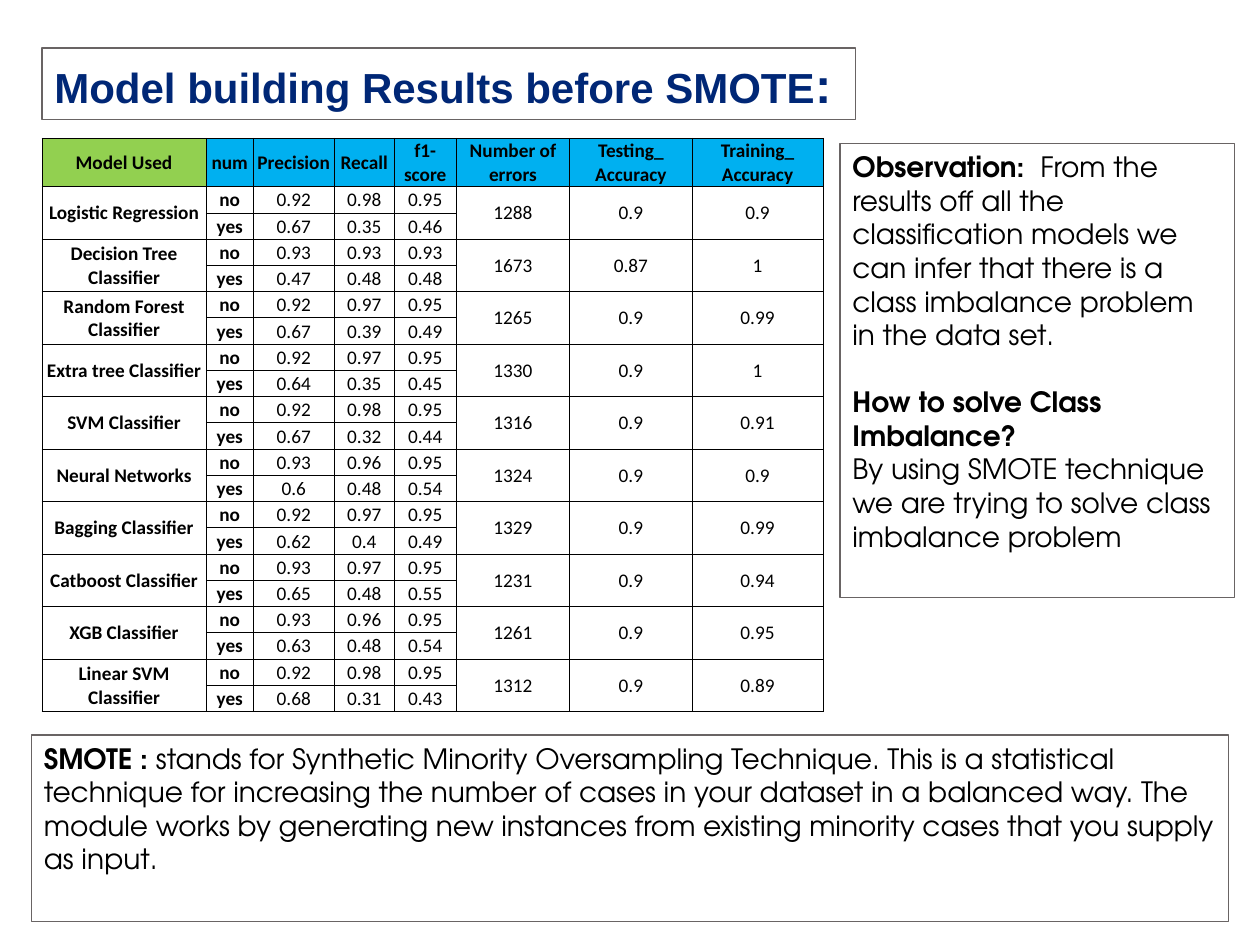
from dataclasses import dataclass

from lxml import etree
from pptx import Presentation
from pptx.dml.color import RGBColor
from pptx.enum import shapes, text
from pptx.oxml import ns
from pptx.util import Pt


@dataclass(frozen=True)
class Theme:
    navy: str = "002776"
    black: str = "000000"
    white: str = "FFFFFF"
    outline: str = "696464"
    green: str = "92D050"
    blue: str = "00B0F0"
    title_font: str = "Arial"
    table_font: str = "Calibri"
    body_font: str = "TeX Gyre Adventor"
    title_size: float = 24
    colon_size: float = 28
    table_size: float = 11
    body_size: float = 16
    border: float = 0.5
    outline_width: float = 0.75


@dataclass(frozen=True)
class Span:
    text: str
    bold: bool = False
    size: float | None = None


@dataclass(frozen=True)
class Para:
    spans: tuple[Span, ...]
    space_before: float = 0


@dataclass(frozen=True)
class Panel:
    left: float
    top: float
    width: float
    height: float
    paras: tuple[Para, ...]
    font: str
    size: float
    color: str
    fill: str | None = None


@dataclass(frozen=True)
class Model:
    """Scores are (precision, recall, f1) for each class."""
    name: str
    no: tuple[float, float, float]
    yes: tuple[float, float, float]
    errors: int
    testing: float
    training: float


THEME = Theme()
PANELS = (
    Panel(24, 27.4, 465, 41,
          (Para((Span("Model building Results before SMOTE", True),
                 Span(":", True, THEME.colon_size))),),
          THEME.title_font, THEME.title_size, THEME.navy, THEME.white),
    Panel(480, 82, 225.5, 259.5,
          (Para((Span("Observation:  ", True),
                 Span("From the results off all the classification models we can infer "
                      "that there is a class imbalance problem in the data set."))),
           Para((Span("How to solve Class Imbalance?", True),), 19.2),
           Para((Span("By using SMOTE technique we are trying to solve class "
                      "imbalance problem"),))),
          THEME.body_font, THEME.body_size, THEME.black),
    Panel(18, 420, 684, 106.5,
          (Para((Span("SMOTE : ", True),
                 Span("stands for Synthetic Minority Oversampling Technique. This is a "
                      "statistical technique for increasing the number of cases in your "
                      "dataset in a balanced way. The module works by generating new "
                      "instances from existing minority cases that you supply as input."))),),
          THEME.body_font, THEME.body_size, THEME.black),
)
HEADERS = ("Model Used", "num", "Precision", "Recall", "f1-score", "Number of errors",
           "Testing_\nAccuracy", "Training_\nAccuracy")
COLUMN_WIDTHS = (93.8, 27, 46.2, 34.4, 35.3, 65, 69.8, 74.9)
HEADER_HEIGHT, ROW_HEIGHT = 27.6, 15
MODELS = (
    Model("Logistic Regression", (0.92, 0.98, 0.95), (0.67, 0.35, 0.46), 1288, 0.9, 0.9),
    Model("Decision Tree Classifier", (0.93, 0.93, 0.93), (0.47, 0.48, 0.48), 1673, 0.87, 1),
    Model("Random Forest Classifier", (0.92, 0.97, 0.95), (0.67, 0.39, 0.49), 1265, 0.9, 0.99),
    Model("Extra tree Classifier", (0.92, 0.97, 0.95), (0.64, 0.35, 0.45), 1330, 0.9, 1),
    Model("SVM Classifier", (0.92, 0.98, 0.95), (0.67, 0.32, 0.44), 1316, 0.9, 0.91),
    Model("Neural Networks", (0.93, 0.96, 0.95), (0.6, 0.48, 0.54), 1324, 0.9, 0.9),
    Model("Bagging Classifier", (0.92, 0.97, 0.95), (0.62, 0.4, 0.49), 1329, 0.9, 0.99),
    Model("Catboost Classifier", (0.93, 0.97, 0.95), (0.65, 0.48, 0.55), 1231, 0.9, 0.94),
    Model("XGB Classifier", (0.93, 0.96, 0.95), (0.63, 0.48, 0.54), 1261, 0.9, 0.95),
    Model("Linear SVM Classifier", (0.92, 0.98, 0.95), (0.68, 0.31, 0.43), 1312, 0.9, 0.89),
)


def rgb(value: str) -> RGBColor:
    return RGBColor.from_string(value)


def style_font(font, name: str, size: float, color: str) -> None:
    font.name, font.size = name, Pt(size)
    font.color.rgb = rgb(color)


def draw_panel(slide, panel: Panel) -> None:
    sp = slide.shapes.add_shape(shapes.MSO_SHAPE.RECTANGLE, Pt(panel.left), Pt(panel.top),
                                Pt(panel.width), Pt(panel.height))
    sp.shadow.inherit = False
    if panel.fill:
        sp.fill.solid()
        sp.fill.fore_color.rgb = rgb(panel.fill)
    else:
        sp.fill.background()
    sp.line.color.rgb = rgb(THEME.outline)
    sp.line.width = Pt(THEME.outline_width)
    tf = sp.text_frame
    tf.word_wrap = True
    tf.vertical_anchor = text.MSO_ANCHOR.TOP
    for i, para in enumerate(panel.paras):
        p = tf.add_paragraph() if i else tf.paragraphs[0]
        p.alignment = text.PP_ALIGN.LEFT
        if para.space_before:
            p.space_before = Pt(para.space_before)
        style_font(p.font, panel.font, panel.size, panel.color)
        for span in para.spans:
            r = p.add_run()
            r.text = span.text
            r.font.bold = span.bold
            if span.size:
                r.font.size = Pt(span.size)


def add_borders(cell) -> None:
    tc_pr = cell._tc.get_or_add_tcPr()
    for side in ("lnL", "lnR", "lnT", "lnB"):
        ln = etree.SubElement(tc_pr, ns.qn(f"a:{side}"), w=str(Pt(THEME.border)))
        fill = etree.SubElement(ln, ns.qn("a:solidFill"))
        etree.SubElement(fill, ns.qn("a:srgbClr"), val=THEME.black)


def fill_cell(cell, value: str | float, bold: bool = False) -> None:
    cell.text = value if isinstance(value, str) else f"{value:g}"
    for p in cell.text_frame.paragraphs:
        p.alignment = text.PP_ALIGN.CENTER
        style_font(p.font, THEME.table_font, THEME.table_size, THEME.black)
        p.font.bold = bold


def draw_results(slide, left: float, top: float) -> None:
    rows = 1 + 2 * len(MODELS)
    height = HEADER_HEIGHT + ROW_HEIGHT * (rows - 1)
    table = slide.shapes.add_table(rows, len(HEADERS), Pt(left), Pt(top),
                                   Pt(sum(COLUMN_WIDTHS)), Pt(height)).table
    table.first_row = table.horz_banding = False
    for column, width in zip(table.columns, COLUMN_WIDTHS):
        column.width = Pt(width)
    for i, row in enumerate(table.rows):
        row.height = Pt(ROW_HEIGHT if i else HEADER_HEIGHT)
    for cell in table.iter_cells():
        cell.margin_left = cell.margin_right = cell.margin_top = Pt(0.5)
        cell.margin_bottom = Pt(0)
        cell.vertical_anchor = text.MSO_ANCHOR.MIDDLE
        add_borders(cell)
        cell.fill.background()
    for col, header in enumerate(HEADERS):
        cell = table.cell(0, col)
        cell.fill.solid()
        cell.fill.fore_color.rgb = rgb(THEME.blue if col else THEME.green)
        fill_cell(cell, header, bold=True)
    for i, model in enumerate(MODELS):
        first = 1 + 2 * i
        merged = {0: model.name, 5: model.errors, 6: model.testing, 7: model.training}
        for col, value in merged.items():
            cell = table.cell(first, col)
            cell.merge(table.cell(first + 1, col))
            fill_cell(cell, value, bold=col == 0)
        for row, (label, scores) in enumerate((("no", model.no), ("yes", model.yes)), first):
            for col, value in enumerate((label, *scores), 1):
                fill_cell(table.cell(row, col), value, bold=col == 1)


def main() -> None:
    prs = Presentation()
    prs.slide_width, prs.slide_height = Pt(720), Pt(540)
    slide = prs.slides.add_slide(prs.slide_layouts[6])
    title, *notes = PANELS
    draw_panel(slide, title)
    draw_results(slide, 24, 79)
    for panel in notes:
        draw_panel(slide, panel)
    prs.save("out.pptx")


if __name__ == "__main__":
    main()
